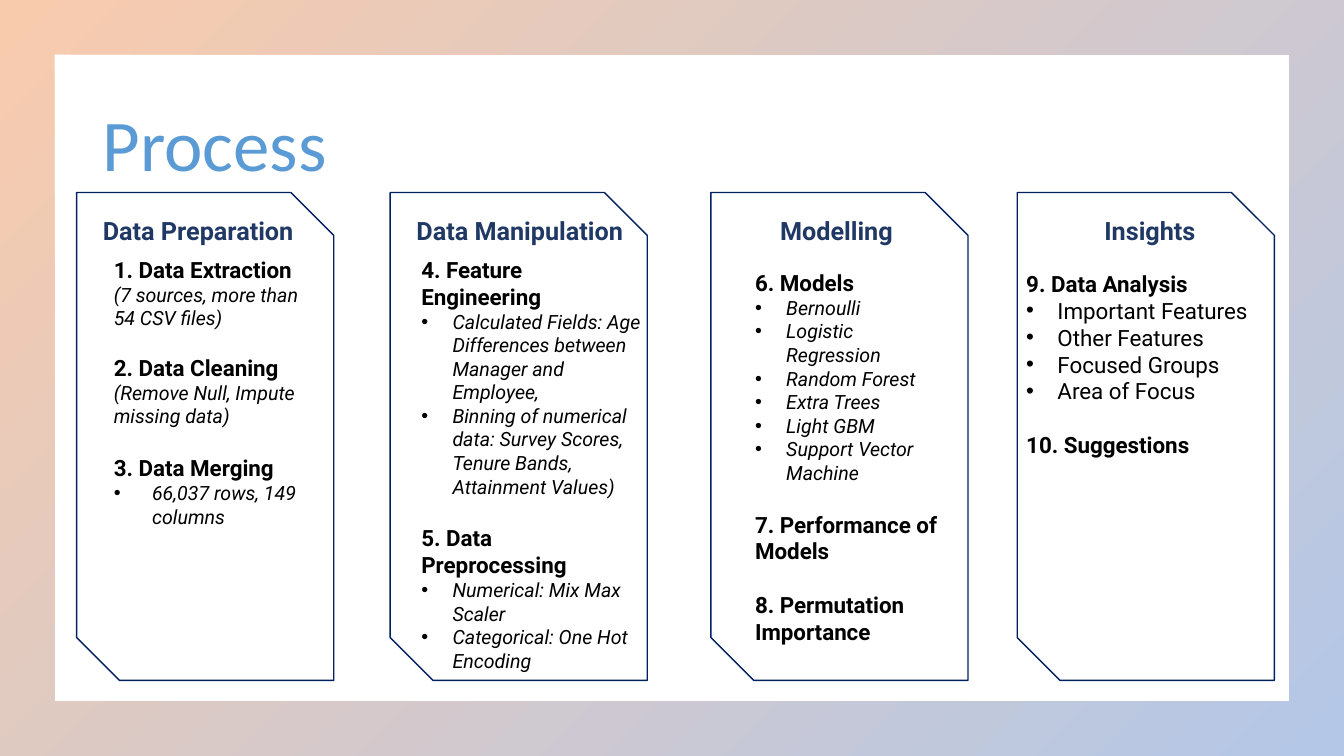
import pptx
import pptx.util
import pptx.dml.color
import pptx.enum.shapes
import pptx.enum.text
import lxml.etree
from dataclasses import dataclass


@dataclass(frozen=True)
class Theme:
    frame_start: str = "F8CBAD"
    frame_end: str = "B4C7E7"
    title: str = "5B9BD5"
    outline: str = "002060"
    heading: str = "203864"
    body: str = "000000"
    title_font: str = "Calibri"
    body_font: str = "Roboto"
    title_size: int = 52
    heading_size: int = 18
    step_size: int = 16
    detail_size: int = 14


theme = Theme()
deck = pptx.Presentation()
deck.slide_width = pptx.util.Inches(13.33)
deck.slide_height = pptx.util.Inches(7.5)
page = deck.slides.add_slide(deck.slide_layouts[5])


def share(left, top, width, height):
    across, down = deck.slide_width / 100, deck.slide_height / 100
    return int(left * across), int(top * down), int(width * across), int(height * down)


def style(para, name, size, color, bold=False, italic=False):
    font = para.font
    font.name, font.size = name, pptx.util.Pt(size)
    font.bold, font.italic = bold, italic
    font.color.rgb = pptx.dml.color.RGBColor.from_string(color)


frame = page.shapes.add_shape(pptx.enum.shapes.MSO_SHAPE.FRAME, *share(0, 0, 100, 100))
frame.adjustments[0] = 0.072
frame.shadow.inherit = False
frame.line.fill.background()
frame.fill.gradient()
frame.fill.gradient_angle = 315
for stop, color in zip(frame.fill.gradient_stops, (theme.frame_start, theme.frame_end)):
    stop.color.rgb = pptx.dml.color.RGBColor.from_string(color)

title = page.shapes.title
title.left, title.top, title.width, title.height = share(6.9, 9.87, 86.27, 19.33)
title.text_frame.text = "Process"
title.text_frame.auto_size = pptx.enum.text.MSO_AUTO_SIZE.NONE
title.text_frame.vertical_anchor = pptx.enum.text.MSO_ANCHOR.MIDDLE
title_para = title.text_frame.paragraphs[0]
title_para.alignment = pptx.enum.text.PP_ALIGN.LEFT
title_para.line_spacing = 0.9
style(title_para, theme.title_font, theme.title_size, theme.title)

stages = [
    ("Data Preparation", 5.7, 5.4, (7.73, 33.2, 16.05, 37.73), 0.38, theme.detail_size, [
        ("step", "1. Data Extraction"),
        ("note", "(7 sources, more than 54 CSV files)"),
        ("step", "2. Data Cleaning"),
        ("note", "(Remove Null, Impute missing data)"),
        ("step", "3. Data Merging"),
        ("bullet", "66,037 rows, 149 columns"),
    ]),
    ("Data Manipulation", 29.03, 29.33, (30.61, 33.2, 17.85, 56.93), 0.31, theme.detail_size, [
        ("step", "4. Feature Engineering"),
        ("bullet", "Calculated Fields: Age Differences between Manager and Employee,"),
        ("bullet", "Binning of numerical data: Survey Scores, Tenure Bands, Attainment Values)"),
        ("step", "5. Data Preprocessing"),
        ("bullet", "Numerical: Mix Max Scaler"),
        ("bullet", "Categorical: One Hot Encoding"),
    ]),
    ("Modelling", 52.89, 52.89, (55.44, 34.93, 16.05, 51.6), 0.31, theme.detail_size, [
        ("step", "6. Models"),
        ("bullet", "Bernoulli"),
        ("bullet", "Logistic Regression"),
        ("bullet", "Random Forest"),
        ("bullet", "Extra Trees"),
        ("bullet", "Light GBM"),
        ("bullet", "Support Vector Machine"),
        ("step", "7. Performance of Models"),
        ("step", "8. Permutation Importance"),
    ]),
    ("Insights", 75.69, 76.22, (75.62, 35.07, 18.98, 26.53), 0.31, theme.step_size, [
        ("step", "9. Data Analysis"),
        ("bullet", "Important Features"),
        ("bullet", "Other Features"),
        ("bullet", "Focused Groups"),
        ("bullet", "Area of Focus"),
        ("step", "10. Suggestions"),
    ]),
]

for name, card_left, name_left, body_area, indent, detail_size, lines in stages:
    card = page.shapes.add_shape(
        pptx.enum.shapes.MSO_SHAPE.SNIP_2_DIAG_RECTANGLE, *share(card_left, 25.47, 19.13, 64.53))
    card.shadow.inherit = False
    card.fill.background()
    card.line.color.rgb = pptx.dml.color.RGBColor.from_string(theme.outline)
    card.line.width = pptx.util.Pt(1)

    heading_box = page.shapes.add_textbox(*share(name_left, 27.87, 18.68, 5.33))
    heading_box.text_frame.word_wrap = True
    heading = heading_box.text_frame.paragraphs[0]
    heading.text = name
    heading.alignment = pptx.enum.text.PP_ALIGN.CENTER
    style(heading, theme.body_font, theme.heading_size, theme.heading, bold=True)

    body_box = page.shapes.add_textbox(*share(*body_area))
    body = body_box.text_frame
    body.word_wrap = True
    for index, (kind, words) in enumerate(lines):
        para = body.add_paragraph() if index else body.paragraphs[0]
        para.text = words
        is_step = kind == "step"
        if is_step and index:
            para.space_before = pptx.util.Pt(17 if words.startswith("2.") else 19)
        if kind == "bullet":
            props = para._p.get_or_add_pPr()
            props.set("marL", str(pptx.util.Inches(indent)))
            props.set("indent", str(-pptx.util.Inches(indent)))
            for tag, key, value in (("buFont", "typeface", "Arial"), ("buChar", "char", "•")):
                bullet = lxml.etree.SubElement(props, pptx.oxml.ns.qn(f"a:{tag}"))
                bullet.set(key, value)
        style(para, theme.body_font, theme.step_size if is_step else detail_size, theme.body,
              bold=is_step, italic=not is_step and detail_size == theme.detail_size)

deck.save("out.pptx")
